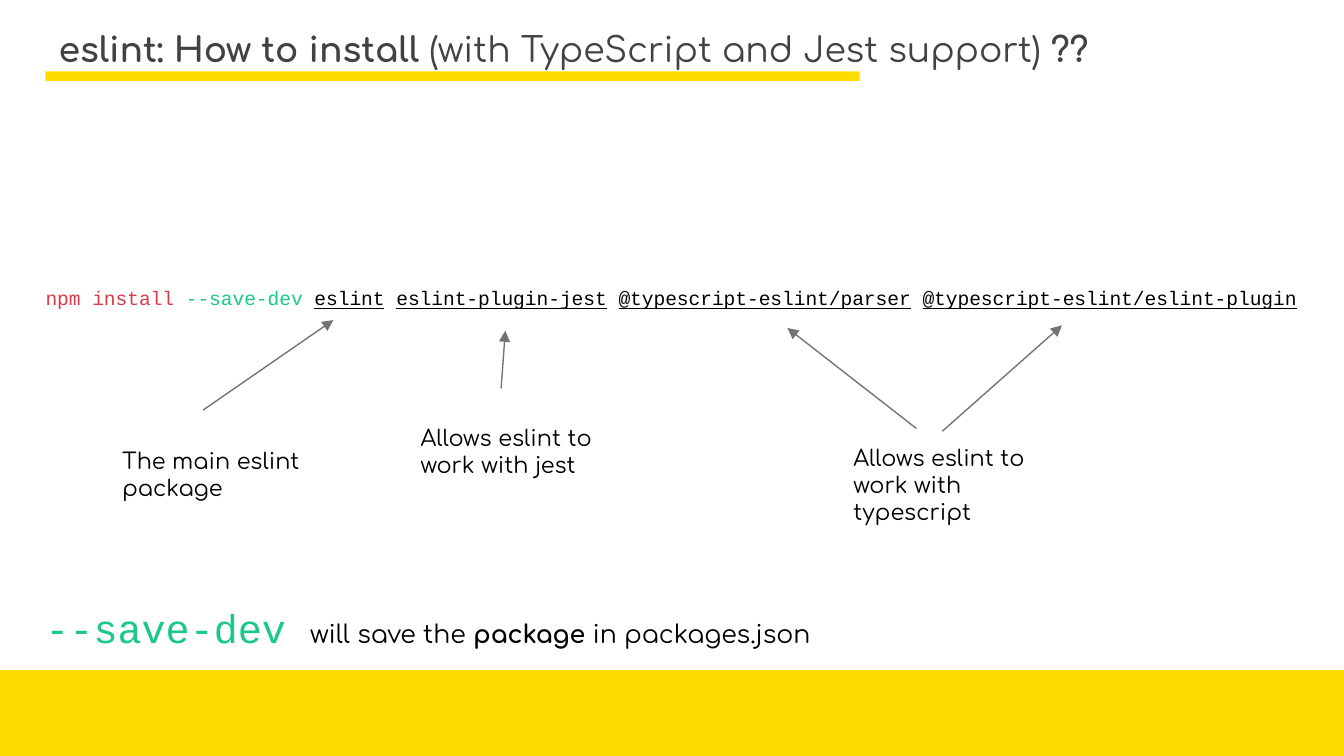
from lxml import etree
from pptx import Presentation
from pptx import util as u
from pptx.dml.color import RGBColor
from pptx.enum import shapes, text
from pptx.oxml.ns import qn

THEME = {
    "heading": "Comfortaa", "code": "Courier New",
    "yellow": "FFDC00", "grey": "424242", "arrow": "737373",
    "red": "D73A49", "green": "1AC987", "black": "000000",
    "title_size": 18.5, "command_size": 10.5, "label_size": 12,
    "flag_size": 21.5, "note_size": 13.5,
}

# Content: each run is its text and what differs from the box's format
TITLE = [
    ("eslint: How to install ", {"bold": True}),
    ("(with TypeScript and Jest support)", {}),
    (" ??", {"bold": True}),
]
COMMAND = [("npm install ", {"color": "red"}), ("--save-dev", {"color": "green"})]
PACKAGES = ["eslint", "eslint-plugin-jest", "@typescript-eslint/parser",
            "@typescript-eslint/eslint-plugin"]
NOTE = [
    ("--save-dev ", {"font": "code", "size": "flag_size", "color": "green"}),
    ("will save the ", {}),
    ("package ", {"bold": True}),
    ("in packages.json", {}),
]

# Explanations: label, left, top, lines, arrows (from x, y, to x, y), in cm
EXPLANATIONS = [
    ("The main eslint package", 2.06, 8.2, 2, [(3.84, 7.75, 6.3, 6.05)]),
    ("Allows eslint to work with jest", 7.7, 7.77, 2, [(9.47, 7.34, 9.55, 6.25)]),
    ("Allows eslint to work with typescript", 15.88, 8.15, 3,
     [(17.32, 8.1, 14.88, 6.2), (17.81, 8.15, 20.07, 6.15)]),
]
SLIDE_WIDTH, SLIDE_HEIGHT = 25.4, 14.29
FOOTER_HEIGHT = 1.62
MARGIN, PADDING = 0.86, 0.25
LABEL_WIDTH, LINE_HEIGHT = 3.86, 0.51


def theme_color(name):
    return RGBColor.from_string(THEME[name])


def add_text(slide, runs, left, top, width, height, *, font="heading",
             size="label_size", color="black", align=text.PP_ALIGN.LEFT,
             anchor=text.MSO_ANCHOR.TOP, line_spacing=None):
    frame = slide.shapes.add_textbox(
        u.Cm(left), u.Cm(top), u.Cm(width), u.Cm(height)).text_frame
    frame.word_wrap = True
    frame.vertical_anchor = anchor
    frame.margin_left = frame.margin_right = u.Cm(PADDING)
    frame.margin_top = frame.margin_bottom = u.Cm(PADDING)
    paragraph = frame.paragraphs[0]
    paragraph.alignment = align
    paragraph.line_spacing = line_spacing
    for words, changes in runs:
        style = {"font": font, "size": size, "color": color, **changes}
        run = paragraph.add_run()
        run.text = words
        run.font.name = THEME[style["font"]]
        run.font.size = u.Pt(THEME[style["size"]])
        run.font.color.rgb = theme_color(style["color"])
        run.font.bold = style.get("bold", False)
        run.font.underline = style.get("underline", False)


def add_bar(slide, left, top, width, height):
    bar = slide.shapes.add_shape(
        shapes.MSO_SHAPE.RECTANGLE,
        u.Cm(left), u.Cm(top), u.Cm(width), u.Cm(height))
    bar.shadow.inherit = False
    bar.fill.solid()
    bar.fill.fore_color.rgb = theme_color("yellow")
    bar.line.fill.background()


def add_arrow(slide, *points):
    arrow = slide.shapes.add_connector(
        shapes.MSO_CONNECTOR.STRAIGHT, *(u.Cm(value) for value in points))
    arrow.line.color.rgb = theme_color("arrow")
    arrow.line.width = u.Pt(0.75)
    properties = arrow._element.spPr
    etree.SubElement(properties.find(qn("a:ln")), qn("a:tailEnd"), type="triangle")
    etree.SubElement(properties, qn("a:effectLst"))


def command_runs():
    runs = list(COMMAND)
    for package in PACKAGES:
        runs += [(" ", {}), (package, {"underline": True})]
    return runs


def main():
    presentation = Presentation()
    presentation.slide_width = u.Cm(SLIDE_WIDTH)
    presentation.slide_height = u.Cm(SLIDE_HEIGHT)
    slide = presentation.slides.add_slide(presentation.slide_layouts[6])

    # Footer band, title and the rule under it
    add_bar(slide, 0, SLIDE_HEIGHT - FOOTER_HEIGHT, SLIDE_WIDTH, FOOTER_HEIGHT)
    add_text(slide, TITLE, MARGIN, 0.36, SLIDE_WIDTH - 2 * MARGIN, 1.19,
             size="title_size", color="grey",
             anchor=text.MSO_ANCHOR.BOTTOM, line_spacing=0.8)
    add_bar(slide, MARGIN, 1.35, 15.39, 0.18)

    # Install command and the note on its flag
    add_text(slide, command_runs(), 0.1, 5.18, 25.17, 0.97, font="code",
             size="command_size", align=text.PP_ALIGN.CENTER)
    add_text(slide, NOTE, 0.61, 11.15, 21.84, 1.42, size="note_size")

    # Explanations with arrows to their packages
    for label, left, top, lines, arrows in EXPLANATIONS:
        for points in arrows:
            add_arrow(slide, *points)
        add_text(slide, [(label, {})], left, top, LABEL_WIDTH,
                 lines * LINE_HEIGHT + 2 * PADDING)

    presentation.save("out.pptx")


if __name__ == "__main__":
    main()
